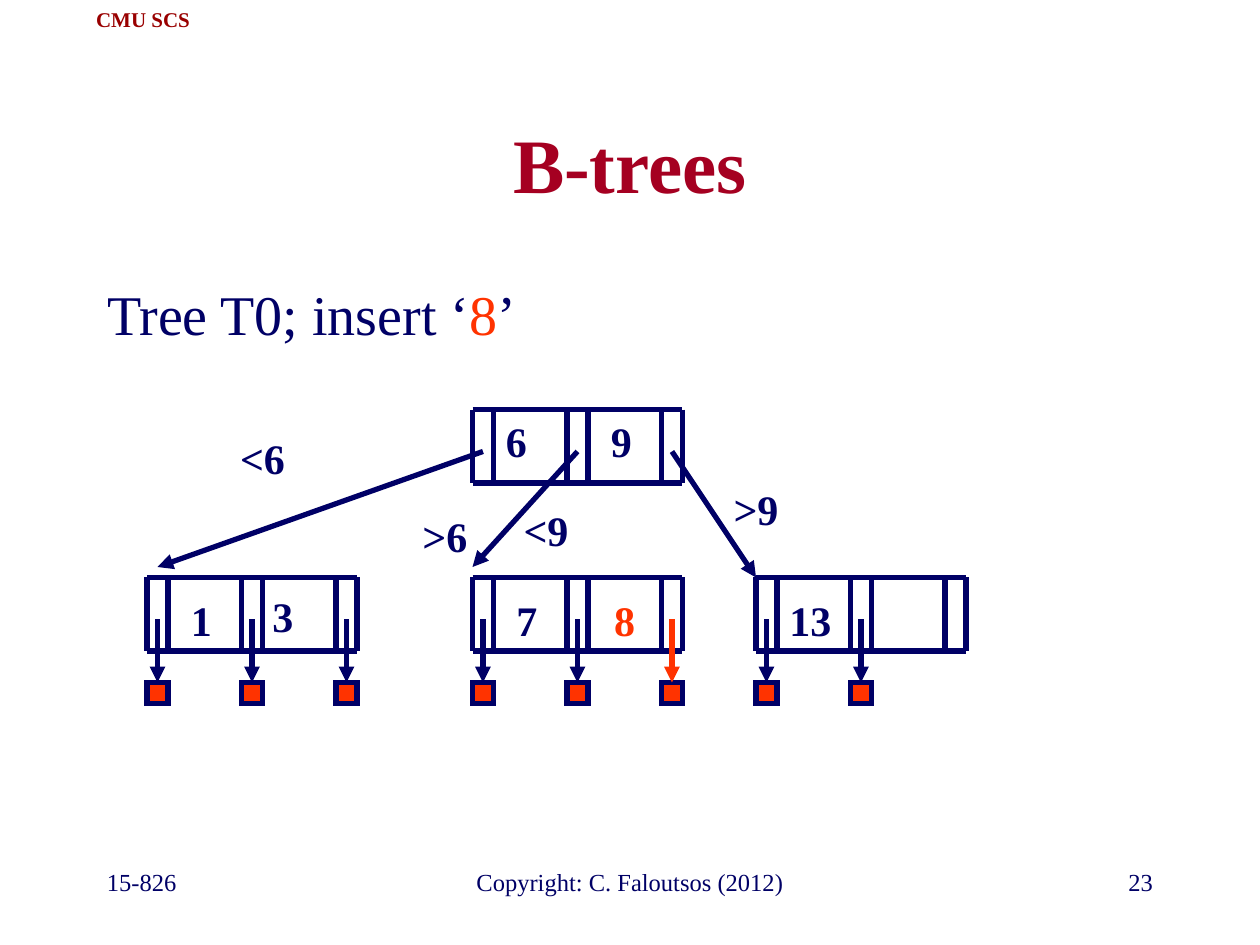
from dataclasses import dataclass

from lxml import etree
from pptx import Presentation
from pptx.dml.color import RGBColor
from pptx.enum.shapes import MSO_CONNECTOR, MSO_SHAPE
from pptx.enum.text import MSO_ANCHOR, MSO_AUTO_SIZE, PP_ALIGN
from pptx.oxml.ns import qn
from pptx.util import Pt

LINE, RECT = MSO_CONNECTOR.STRAIGHT, MSO_SHAPE.RECTANGLE
TOP, MID = MSO_ANCHOR.TOP, MSO_ANCHOR.MIDDLE
LEFT, CENTER, RIGHT = PP_ALIGN.LEFT, PP_ALIGN.CENTER, PP_ALIGN.RIGHT
FIXED, GROW = MSO_AUTO_SIZE.NONE, MSO_AUTO_SIZE.SHAPE_TO_FIT_TEXT


@dataclass(frozen=True)
class Theme:
    font: str = "Times New Roman"
    navy: str = "000066"
    red: str = "FF3300"
    title: str = "A50021"
    tag: str = "990000"
    title_size: int = 44
    body_size: int = 32
    key_size: int = 24
    foot_size: int = 14
    tag_size: int = 12
    stroke: int = 3


THEME = Theme()
SLOT, STEP = 16, 72  # pointer slot width, distance between slots
WIDTH, HIGH = 2 * STEP + SLOT, 56  # size of a tree node
START, DROP = 32, 80  # pointer start and data square, below node top


def px(n):
    return n * 9525  # 96 px to the inch


def style(run, size, color, bold=False):
    font = run.font
    font.name, font.size, font.bold = THEME.font, Pt(size), bold
    font.color.rgb = RGBColor.from_string(color)


def place(shape, box):
    shape.left, shape.top, shape.width, shape.height = map(px, box)


def label(slide, box, text, size, color=THEME.navy, bold=False,
          align=CENTER, anchor=TOP, wrap=False):
    frame = slide.shapes.add_textbox(*map(px, box)).text_frame
    frame.text = text
    frame.word_wrap = wrap
    frame.auto_size = FIXED if wrap else GROW
    frame.vertical_anchor = anchor
    para = frame.paragraphs[0]
    para.alignment = align
    style(para.runs[0], size, color, bold)


def line(slide, x1, y1, x2, y2, color=THEME.navy, arrow=False):
    link = slide.shapes.add_connector(LINE, *map(px, (x1, y1, x2, y2)))
    link.line.width = Pt(THEME.stroke)
    link.line.color.rgb = RGBColor.from_string(color)
    if arrow:
        edge = link._element.spPr.find(qn("a:ln"))
        etree.SubElement(edge, qn("a:tailEnd"), type="triangle")
    etree.SubElement(link._element.spPr, qn("a:effectLst"))
    return link


def node(slide, x, y):
    for slot in range(3):
        for side in (0, SLOT):
            edge = x + slot * STEP + side
            line(slide, edge, y, edge, y + HIGH)
    for row in (y, y + HIGH):
        line(slide, x, row, x + WIDTH, row)


def data(slide, x, y, color):
    """Data square with its pointer, for the slot at x of a node at y."""
    square = slide.shapes.add_shape(RECT, *map(px, (x, y + DROP, SLOT, SLOT)))
    square.shadow.inherit = False
    square.fill.solid()
    square.fill.fore_color.rgb = RGBColor.from_string(THEME.red)
    square.line.color.rgb = RGBColor.from_string(THEME.navy)
    square.line.width = Pt(THEME.stroke)
    edge = square._element.spPr.find(qn("a:ln"))
    etree.SubElement(edge, qn("a:miter"), lim="800000")  # sharp corners
    mid = x + SLOT // 2
    line(slide, mid, y + START, mid, y + DROP, color, True).end_connect(square, 0)


def leaf(slide, x, y, colors):
    node(slide, x, y)
    for i, color in enumerate(colors):
        data(slide, x + i * STEP, y, color)


def heading(slide, box):
    title = slide.shapes.title
    place(title, box)
    frame = title.text_frame
    frame.text = "B-trees"
    frame.vertical_anchor, frame.auto_size = MID, FIXED
    para = frame.paragraphs[0]
    para.alignment = CENTER
    style(para.runs[0], THEME.title_size, THEME.title, True)


def body(slide, box):
    holder = slide.placeholders[1]
    place(holder, box)
    frame = holder.text_frame
    frame.auto_size = FIXED
    para = frame.paragraphs[0]
    props = para._p.get_or_add_pPr()
    props.set("marL", str(px(36)))
    props.set("indent", str(px(-36)))
    etree.SubElement(props, qn("a:buNone"))
    para.space_before = Pt(0)
    for text, color in (("Tree T0; insert ‘", THEME.navy),
                        ("8", THEME.red), ("’", THEME.navy)):
        run = para.add_run()
        run.text = text
        style(run, THEME.body_size, color)


def tree(slide, left, top):
    # Nodes: root, then leaves with their data pointers
    root, base = left + 248, top + 128
    blue, red = THEME.navy, THEME.red
    node(slide, root, top)
    for x, colors in ((0, [blue] * 3), (248, [blue, blue, red]), (464, [blue] * 2)):
        leaf(slide, left + x, base, colors)

    # Pointers from root to leaves
    for i, (x, y) in enumerate(((8, 120), (248, 120), (464, 128))):
        line(slide, root + i * STEP + SLOT // 2, top + START,
             left + x, top + y, arrow=True)

    # Keys and range labels
    for text, x, y, w in (
        ("6", 264, 0, 35), ("9", 344, 0, 35),
        ("1", 24, 136, 35), ("3", 86, 133, 35),
        ("7", 272, 136, 35), ("8", 344, 136, 40), ("13", 480, 136, 51),
        ("<6", 61, 13, 54), (">6", 200, 72, 54),
        ("<9", 277, 68, 54), (">9", 437, 52, 54),
    ):
        label(slide, (left + x, top + y, w, 48), text, THEME.key_size,
              red if text == "8" else blue, True)


def footer(slide, left, top):
    for text, x, w, align in (
        ("15-826", 0, 200, LEFT),
        ("Copyright: C. Faloutsos (2012)", 256, 304, CENTER),
        ("23", 616, 200, RIGHT),
    ):
        label(slide, (left + x, top, w, 48), text, THEME.foot_size,
              align=align, wrap=True)


def main():
    deck = Presentation()
    deck.slide_width, deck.slide_height = px(960), px(720)
    slide = deck.slides.add_slide(deck.slide_layouts[1])
    label(slide, (63, 0, 92, 29), "CMU SCS", THEME.tag_size, THEME.tag, True, anchor=MID)
    footer(slide, 72, 656)
    heading(slide, (72, 64, 816, 120))
    body(slide, (72, 208, 816, 64))
    tree(slide, 112, 312)
    deck.save("out.pptx")


if __name__ == "__main__":
    main()
